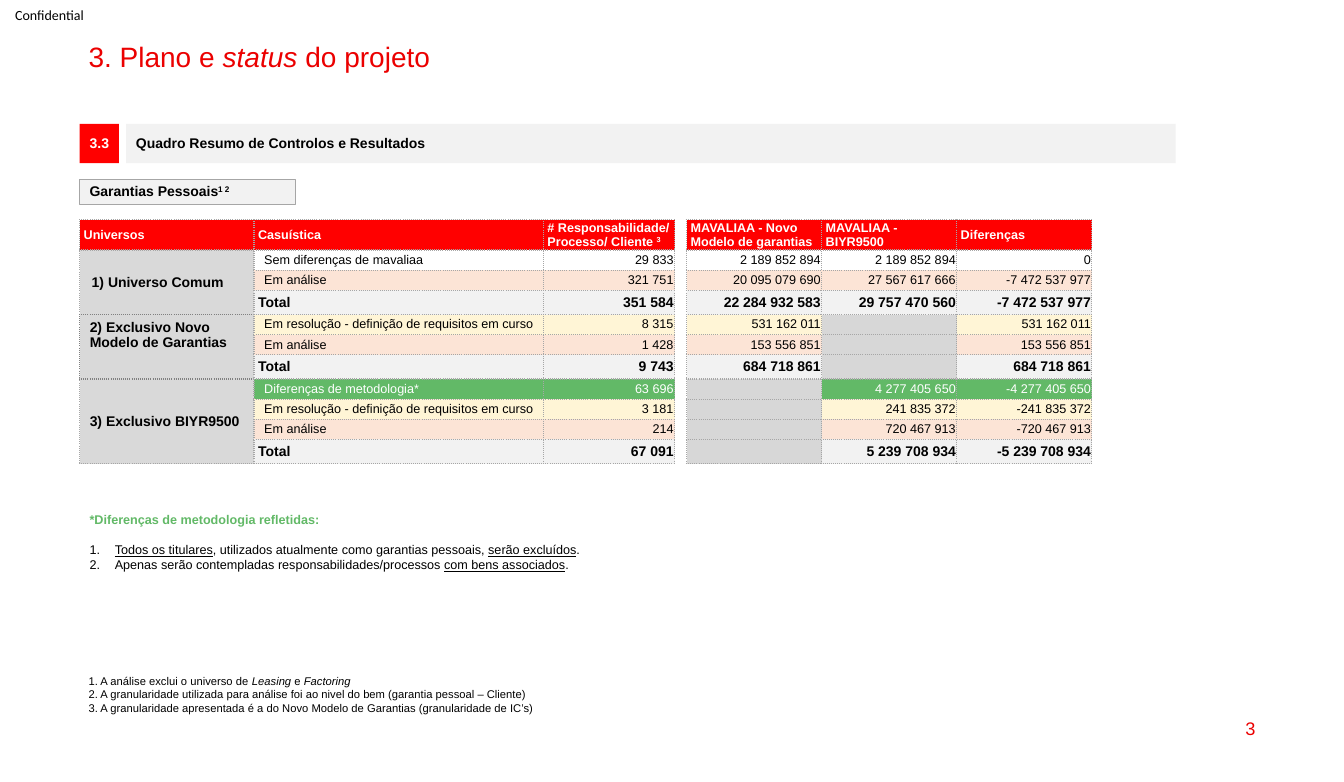
import lxml.etree
import pptx
import pptx.dml.color
import pptx.enum.shapes
import pptx.enum.text
import pptx.oxml.ns
import pptx.util

Inches, Pt = pptx.util.Inches, pptx.util.Pt
RGB = pptx.dml.color.RGBColor
ALIGN, ANCHOR = pptx.enum.text.PP_ALIGN, pptx.enum.text.MSO_ANCHOR
qn = pptx.oxml.ns.qn

BLACK, WHITE = RGB(0, 0, 0), RGB(255, 255, 255)
RED, CRIMSON = RGB(0xFF, 0, 0), RGB(0xEB, 0, 0)
PALE, GREY, BLANK = RGB(0xF2, 0xF2, 0xF2), RGB(0xD9, 0xD9, 0xD9), RGB(0xD7, 0xD7, 0xD7)
EDGE, DARK = RGB(0xA6, 0xA6, 0xA6), RGB(0x80, 0x80, 0x80)
PEACH, CREAM, GREEN = RGB(0xFC, 0xE4, 0xD6), RGB(0xFF, 0xF5, 0xD6), RGB(0x62, 0xB9, 0x67)

SOLVE = "Em resolução - definição de requisitos em curso"
METHOD = "Diferenças de metodologia*"
TINTS = {"Em análise": PEACH, SOLVE: CREAM, METHOD: GREEN, "Total": PALE}
COLS = [1.73, 2.87, 1.3, 0.12, 1.34, 1.34, 1.34]
GAP = 3
HEADS = ["Universos", "Casuística", ["# Responsabilidade/", [("Processo/ Cliente ", ""), ("3", "^")]],
         None, "MAVALIAA - Novo Modelo de garantias", "MAVALIAA - BIYR9500", "Diferenças"]
# name, left inset, anchor, border colour, rows of (label, count, new model, BIYR9500, difference)
GROUPS = [
    ("1) Universo Comum", 0.12, ANCHOR.MIDDLE, EDGE, [
        ("Sem diferenças de mavaliaa", "29 833", "2 189 852 894", "2 189 852 894", "0"),
        ("Em análise", "321 751", "20 095 079 690", "27 567 617 666", "-7 472 537 977"),
        ("Total", "351 584", "22 284 932 583", "29 757 470 560", "-7 472 537 977")]),
    ("2) Exclusivo Novo Modelo de Garantias", 0.1, ANCHOR.TOP, DARK, [
        (SOLVE, "8 315", "531 162 011", None, "531 162 011"),
        ("Em análise", "1 428", "153 556 851", None, "153 556 851"),
        ("Total", "9 743", "684 718 861", None, "684 718 861")]),
    ("3) Exclusivo BIYR9500", 0.1, ANCHOR.MIDDLE, EDGE, [
        (METHOD, "63 696", None, "4 277 405 650", "-4 277 405 650"),
        (SOLVE, "3 181", None, "241 835 372", "-241 835 372"),
        ("Em análise", "214", None, "720 467 913", "-720 467 913"),
        ("Total", "67 091", None, "5 239 708 934", "-5 239 708 934")]),
]


def write(frame, lines, size, color=BLACK, bold=False, align=ALIGN.LEFT, face="Arial", pitch=None):
    """Fill a frame; a line is a string or (text, marks) runs: i italic, u underline, ^ raised."""
    for n, line in enumerate([lines] if isinstance(lines, str) else lines):
        para = frame.paragraphs[0] if n == 0 else frame.add_paragraph()
        para.alignment = align
        if pitch:
            para.line_spacing = pitch
        for text, marks in [(line, "")] if isinstance(line, str) else line:
            run = para.add_run()
            run.text = text
            font = run.font
            font.name, font.size, font.bold = face, Pt(size), bold
            font.color.rgb = color
            if "i" in marks:
                font.italic = True
            if "u" in marks:
                font.underline = True
            if "^" in marks:
                font._element.set("baseline", "30000")


def label(slide, box, lines, size, anchor=ANCHOR.TOP, inset=(0.1, 0.05), **style):
    frame = slide.shapes.add_textbox(*map(Inches, box)).text_frame
    frame.word_wrap = True
    frame.vertical_anchor = anchor
    frame.margin_left = frame.margin_right = Inches(inset[0])
    frame.margin_top = frame.margin_bottom = Inches(inset[1])
    write(frame, lines, size, **style)
    return frame


def panel(slide, box, lines, fill, line=None, **style):
    shape = slide.shapes.add_shape(pptx.enum.shapes.MSO_SHAPE.RECTANGLE, *map(Inches, box))
    shape.shadow.inherit = False
    shape.fill.solid()
    shape.fill.fore_color.rgb = fill
    if line is None:
        shape.line.fill.background()
    else:
        shape.line.color.rgb = line
        shape.line.width = Pt(0.75)
    shape.text_frame.word_wrap = True
    shape.text_frame.vertical_anchor = ANCHOR.MIDDLE
    write(shape.text_frame, lines, 10, bold=True, pitch=0.9, **style)


def border(cell, colors):
    """Dot the edges named in colors (L, R, T, B) and clear the others."""
    props = cell._tc.get_or_add_tcPr()
    for side in "LRTB":
        edge = lxml.etree.SubElement(props, qn("a:ln" + side), w=str(Pt(1)))
        if side in colors:
            solid = lxml.etree.SubElement(edge, qn("a:solidFill"))
            lxml.etree.SubElement(solid, qn("a:srgbClr"), val=str(colors[side]))
            lxml.etree.SubElement(edge, qn("a:prstDash"), val="sysDot")
        else:
            lxml.etree.SubElement(edge, qn("a:noFill"))


def paint(cell, lines, fill, inset, colors, size=9, anchor=ANCHOR.MIDDLE, **style):
    border(cell, colors)
    if fill is None:
        cell.fill.background()
    else:
        cell.fill.solid()
        cell.fill.fore_color.rgb = fill
    cell.margin_left, cell.margin_right = Inches(inset[0]), Inches(inset[1])
    cell.margin_top = cell.margin_bottom = 0
    cell.vertical_anchor = anchor
    if lines:
        write(cell.text_frame, lines, size, **style)
    else:
        cell.text_frame.paragraphs[0]._p.get_or_add_endParaRPr().set("sz", "800")


def grid(slide, left, top):
    rows = [row for group in GROUPS for row in group[4]]
    highs = [0.28] + [0.24 if row[0] == "Total" else 0.2 for row in rows]
    table = slide.shapes.add_table(len(highs), len(COLS), Inches(left), Inches(top),
                                   Inches(sum(COLS)), Inches(sum(highs))).table
    table.first_row = table.horz_banding = False
    for col, width in zip(table.columns, COLS):
        col.width = Inches(width)
    for row, high in zip(table.rows, highs):
        row.height = Inches(high)
    dots = dict.fromkeys("LRTB", EDGE)
    for c, head in enumerate(HEADS):
        if c != GAP:
            paint(table.cell(0, c), head, RED, (0.04, 0.04), dots, color=WHITE, bold=True)
    for r in range(len(highs)):
        paint(table.cell(r, GAP), None, None, (0, 0), {"L": EDGE, "R": EDGE})
    for r, (name, *values) in enumerate(rows, 1):
        total = name == "Total"
        style = dict(size=10 if total else 9, bold=total, color=WHITE if name == METHOD else BLACK)
        tint = TINTS.get(name)
        paint(table.cell(r, 1), name, tint, (0.04 if total else 0.1, 0.01), dots, **style)
        for c, value in zip((2, 4, 5, 6), values):
            paint(table.cell(r, c), value, tint if value else BLANK, (0.01, 0.01), dots,
                  align=ALIGN.RIGHT, **style)
    first = 1
    for name, inset, anchor, edge, items in GROUPS:
        last = first + len(items) - 1
        for r in range(first, last + 1):
            sides = {"L": edge, "R": edge, "T": DARK if first > 1 else EDGE,
                     "B": DARK if last < len(rows) else EDGE}
            paint(table.cell(r, 0), name if r == first else None, GREY, (inset, 0.04), sides,
                  size=10, anchor=anchor, bold=True)
        table.cell(first, 0).merge(table.cell(last, 0))
        if anchor == ANCHOR.TOP:
            table.cell(first, 0).margin_top = Inches(0.05)
        first = last + 1


def method(slide, box):
    left, top, width, high = box
    label(slide, (left, top, width, 0.25), "*Diferenças de metodologia refletidas:", 9,
          color=GREEN, bold=True)
    frame = label(slide, (left, top + 0.3, width, high - 0.3), [
        [("Todos os titulares", "u"), (", utilizados atualmente como garantias pessoais, ", ""),
         ("serão excluídos", "u"), (".", "")],
        [("Apenas serão contempladas responsabilidades/processos ", ""),
         ("com bens associados", "u"), (".", "")]], 9)
    for para in frame.paragraphs:
        props = para._p.get_or_add_pPr()
        props.set("marL", str(Inches(0.25)))
        props.set("indent", str(-Inches(0.25)))
        lxml.etree.SubElement(props, qn("a:buFont"), typeface="+mj-lt")
        lxml.etree.SubElement(props, qn("a:buAutoNum"), type="arabicPeriod")


def main():
    deck = pptx.Presentation()
    deck.slide_width, deck.slide_height = Inches(13.33), Inches(7.76)
    slide = deck.slides.add_slide(deck.slide_layouts[6])
    label(slide, (0.15, 0, 0.99, 0.29), "Confidential", 10, anchor=ANCHOR.MIDDLE, inset=(0, 0),
          face="Calibri")
    label(slide, (0.78, 0.38, 11.77, 0.34),
          [[("3. Plano e ", ""), ("status", "i"), (" do projeto", "")]], 20,
          color=CRIMSON, pitch=0.9)
    panel(slide, (0.79, 1.23, 0.39, 0.39), "3.3", RED, color=WHITE, align=ALIGN.CENTER)
    panel(slide, (1.25, 1.23, 10.41, 0.39), "Quadro Resumo de Controlos e Resultados", PALE)
    panel(slide, (0.79, 1.78, 2.14, 0.25), [[("Garantias Pessoais", ""), ("1 2", "^")]], PALE, EDGE)
    grid(slide, 0.79, 2.18)
    method(slide, (0.79, 5.03, 10.55, 1.5))
    label(slide, (0.78, 6.64, 4.75, 0.5), [
        [("1. A análise exclui o universo de ", ""), ("Leasing", "i"), (" e ", ""), ("Factoring", "i")],
        "2. A granularidade utilizada para análise foi ao nivel do bem (garantia pessoal – Cliente)",
        "3. A granularidade apresentada é a do Novo Modelo de Garantias (granularidade de IC’s)"], 8)
    label(slide, (9.55, 7.02, 3, 0.41), "3", 13, anchor=ANCHOR.MIDDLE, color=CRIMSON,
          align=ALIGN.RIGHT)
    deck.save("out.pptx")


if __name__ == "__main__":
    main()
